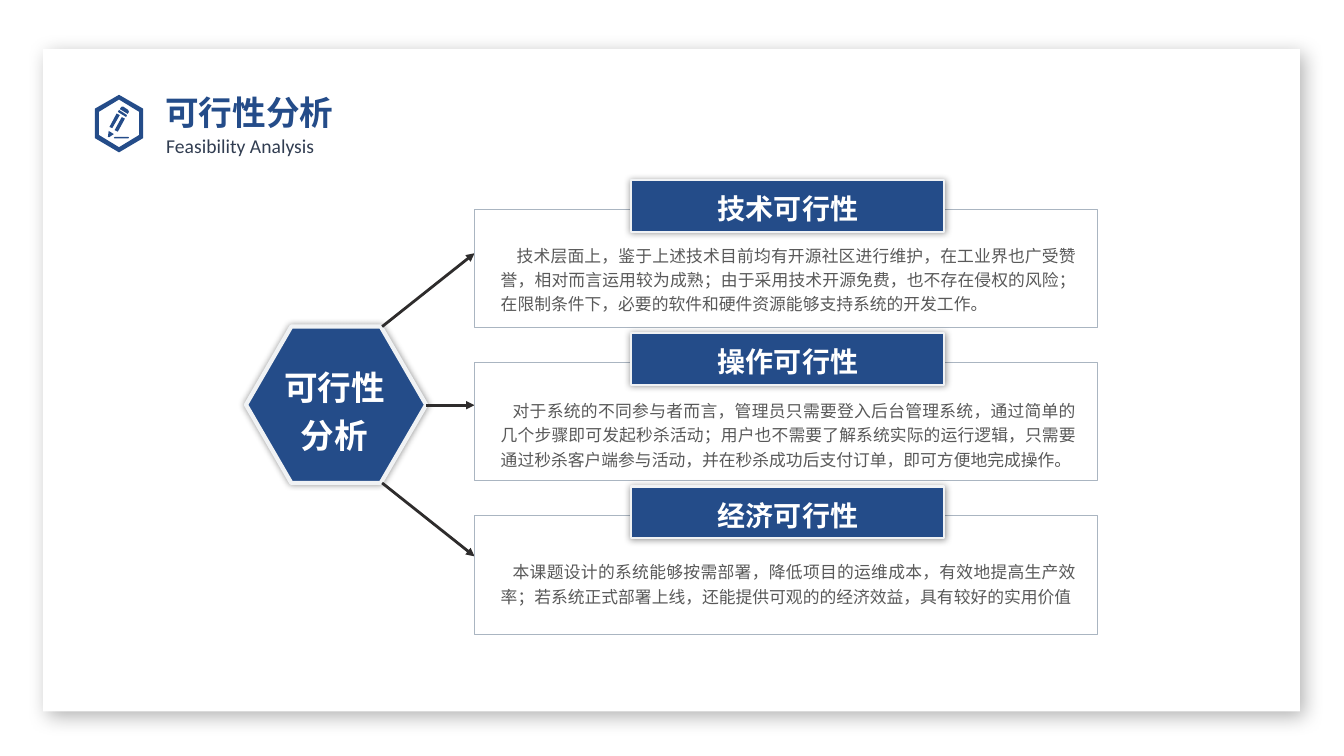
from lxml import etree
from pptx import Presentation
from pptx.dml.color import RGBColor
from pptx.enum.shapes import MSO_CONNECTOR, MSO_SHAPE
from pptx.enum.text import MSO_ANCHOR, MSO_AUTO_SIZE, PP_ALIGN
from pptx.oxml.ns import qn
from pptx.util import Cm, Pt

RECTANGLE, HEXAGON = MSO_SHAPE.RECTANGLE, MSO_SHAPE.HEXAGON
STRAIGHT = MSO_CONNECTOR.STRAIGHT
LEFT, CENTER, JUSTIFY = PP_ALIGN.LEFT, PP_ALIGN.CENTER, PP_ALIGN.JUSTIFY
MIDDLE = MSO_ANCHOR.MIDDLE
FIT_SHAPE = MSO_AUTO_SIZE.SHAPE_TO_FIT_TEXT

BLUE, WHITE, PALE = "244C89", "FFFFFF", "F0F2F4"
CJK = "Noto Sans CJK SC"

TITLE, SUBTITLE, HUB = "可行性分析", "Feasibility Analysis", "可行性分析"
# heading, body, body top within the panel (cm), first-line indent (cm)
PANELS = [
    ("技术可行性",
     "技术层面上，鉴于上述技术目前均有开源社区进行维护，在工业界也广受赞誉，"
     "相对而言运用较为成熟；由于采用技术开源免费，也不存在侵权的风险；"
     "在限制条件下，必要的软件和硬件资源能够支持系统的开发工作。", 0.69, 0.4),
    ("操作可行性",
     "对于系统的不同参与者而言，管理员只需要登入后台管理系统，通过简单的几个步骤"
     "即可发起秒杀活动；用户也不需要了解系统实际的运行逻辑，只需要通过秒杀客户端"
     "参与活动，并在秒杀成功后支付订单，即可方便地完成操作。", 0.74, 0.3),
    ("经济可行性",
     "本课题设计的系统能够按需部署，降低项目的运维成本，有效地提高生产效率；"
     "若系统正式部署上线，还能提供可观的的经济效益，具有较好的实用价值", 0.94, 0.3),
]
PANEL_LEFT, PANEL_TOP, PANEL_PITCH = 11.96, 5.28, 3.86
# start and end of each arrow (cm)
ARROWS = [((9.63, 8.23), (11.96, 6.38)),
          ((10.74, 10.21), (11.96, 10.21)),
          ((9.63, 12.17), (11.96, 14.02))]
# contours of the pencil badge, in hundredths of a centimetre
BADGE = [
    [(300, 239), (361, 274), (361, 348), (300, 384), (239, 348), (239, 274)],
    [(300, 251), (351, 282), (351, 340), (300, 371), (249, 340), (249, 282)],
    [(289, 345), (323, 345), (325, 347), (323, 349), (289, 349), (287, 347)],
    [(289, 328), (307, 295), (315, 299), (297, 332)],
    [(276, 320), (294, 286), (302, 290), (283, 323)],
    [(272, 345), (274, 330), (287, 338), (275, 346)],
    [(300, 277), (297, 282), (318, 295), (320, 290)],
    [(304, 272), (307, 269), (311, 269), (323, 277), (325, 282), (322, 287),
     (302, 275)],
]


def color(value):
    return RGBColor.from_string(value)


def style(shape, fill, line=None, width=0):
    shape.shadow.inherit = False
    shape.fill.solid()
    shape.fill.fore_color.rgb = color(fill)
    if line:
        shape.line.color.rgb = color(line)
        shape.line.width = Pt(width)
    else:
        shape.line.fill.background()


def add_box(page, kind, place, fill, line=None, width=0):
    box = page.shapes.add_shape(kind, *map(Cm, place))
    style(box, fill, line, width)
    return box


def add_shadow(shape, alpha, blur, distance=0, angle=0):
    """Cast an outer shadow; percent, points, points and degrees."""
    effects = shape.element.spPr.find(qn("a:effectLst"))
    shadow = etree.SubElement(
        effects, qn("a:outerShdw"), blurRad=str(Pt(blur)), dist=str(Pt(distance)),
        dir=str(angle * 60000), algn="ctr", rotWithShape="0")
    black = etree.SubElement(shadow, qn("a:srgbClr"), val="000000")
    etree.SubElement(black, qn("a:alpha"), val=str(alpha * 1000))


def write(frame, text, size, ink, font=CJK, bold=False, align=LEFT, spacing=1.2):
    frame.word_wrap = True
    para = frame.paragraphs[0]
    para.text = text
    para.alignment, para.line_spacing = align, spacing
    para.font.size, para.font.bold, para.font.name = Pt(size), bold, font
    para.font.color.rgb = color(ink)
    defaults = para._p.pPr.find(qn("a:defRPr"))
    etree.SubElement(defaults, qn("a:ea"), typeface=CJK)
    return para


def add_text(page, place, *args, **options):
    box = page.shapes.add_textbox(*map(Cm, place))
    box.text_frame.auto_size = FIT_SHAPE
    return box, write(box.text_frame, *args, **options)


def add_arrow(page, start, end):
    arrow = page.shapes.add_connector(STRAIGHT, *map(Cm, start + end))
    arrow.line.color.rgb = color("2E2C2C")
    arrow.line.width = Pt(0)
    etree.SubElement(arrow.line._get_or_add_ln(), qn("a:tailEnd"), type="triangle")
    etree.SubElement(arrow.element.spPr, qn("a:effectLst"))


def add_badge(page):
    builder = page.shapes.build_freeform(*BADGE[0][0], scale=Cm(0.01))
    builder.add_line_segments(BADGE[0][1:], close=True)
    for contour in BADGE[1:]:
        builder.move_to(*contour[0])
        builder.add_line_segments(contour[1:], close=True)
    style(builder.convert_to_shape(), BLUE)


def add_panel(page, top, heading, body, body_offset, indent):
    add_box(page, RECTANGLE, (PANEL_LEFT, top, 15.7, 2.98), WHITE, "AAB5C1")
    banner_top = top - 0.74
    banner = add_box(page, RECTANGLE, (15.9, banner_top, 7.9, 1.3), BLUE, PALE, 1.5)
    add_shadow(banner, 40, 5)
    add_text(page, (16.43, banner_top, 6.86, 1.19), heading, 20, WHITE,
             bold=True, align=CENTER)
    para = add_text(page, (12.37, top + body_offset, 15.01, 2.06), body, 12,
                    "595959", align=JUSTIFY)[1]
    para._p.pPr.set("indent", str(Cm(indent)))


def main():
    deck = Presentation()
    deck.slide_width, deck.slide_height = Cm(33.87), Cm(19.05)
    page = deck.slides.add_slide(deck.slide_layouts[5])

    sheet = add_box(page, RECTANGLE, (1.09, 1.24, 31.67, 16.69), WHITE)
    add_shadow(sheet, 30, 15, 5, 45)
    add_badge(page)

    title = page.shapes.title
    title.left, title.top, title.width, title.height = map(Cm, (3.91, 2.08, 10.08, 1.27))
    title.text_frame.vertical_anchor = MIDDLE
    title.text_frame.auto_size = MSO_AUTO_SIZE.NONE
    write(title.text_frame, TITLE, 24, BLUE, font="Karla", bold=True)
    title.element.getparent().append(title.element)  # in front of the sheet

    hub = add_box(page, HEXAGON, (6.2, 8.23, 4.54, 3.94), BLUE, PALE, 3)
    hub.adjustments[0] = 0.29
    add_shadow(hub, 40, 5)
    for start, end in ARROWS:
        add_arrow(page, start, end)
    for index, panel in enumerate(PANELS):
        add_panel(page, PANEL_TOP + index * PANEL_PITCH, *panel)
    add_text(page, (6.78, 8.92, 3.3, 2.62), HUB, 24, WHITE, bold=True, align=CENTER)

    subtitle = add_text(page, (4.19, 3.15, 8.15, 0.86), SUBTITLE, 14, "313D51",
                        font="Calibri", spacing=Pt(23))[0]
    frame = subtitle.text_frame
    frame.margin_left = frame.margin_top = frame.margin_right = 0
    deck.save("out.pptx")


if __name__ == "__main__":
    main()
